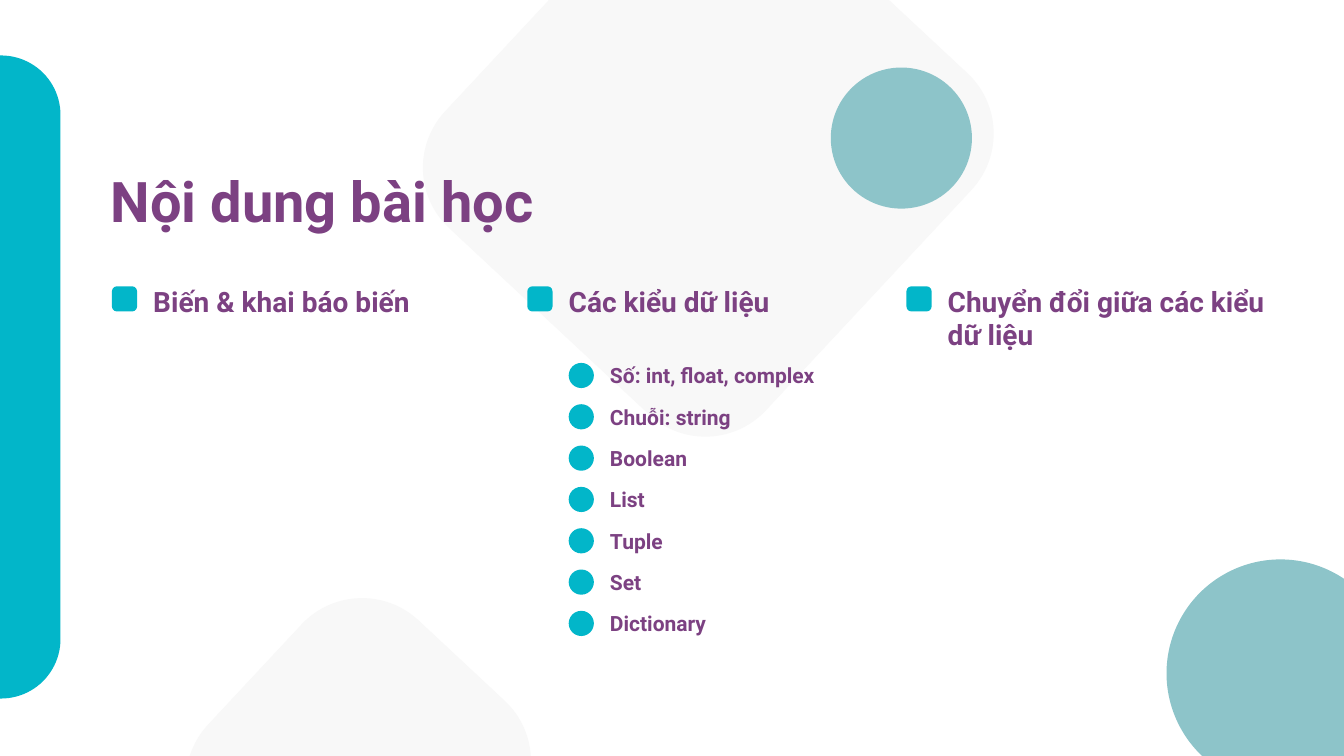
from pptx import Presentation
from pptx import util as u
from pptx.dml.color import RGBColor
from pptx.enum import shapes, text

TEAL = RGBColor(0x02, 0xB6, 0xC9)
PURPLE = RGBColor(0x7C, 0x41, 0x82)
PALE_GREY = RGBColor(0xF8, 0xF8, 0xF8)
SOFT_TEAL = RGBColor(0x8D, 0xC4, 0xC9)

MARKER = 0.25
INDENT = 0.41
HEADING_TOP = 2.82
TYPES_TOP = 3.6
TYPES_STEP = 0.41
TYPES_LEFT = 5.64

HEADINGS = [
    (1.11, 3.2, "Biến & khai báo biến"),
    (5.23, 2.95, "Các kiểu dữ liệu"),
    (8.99, 3.2, "Chuyển đổi giữa các kiểu dữ liệu"),
]
DATA_TYPES = [
    "Số: int, float, complex",
    "Chuỗi: string",
    "Boolean",
    "List",
    "Tuple",
    "Set",
    "Dictionary",
]


class LessonSlide:
    font = "Roboto"

    def __init__(self, deck):
        self.slide = deck.slides.add_slide(deck.slide_layouts[6])

    def shape(self, kind, left, top, width, height, color):
        item = self.slide.shapes.add_shape(
            kind, u.Inches(left), u.Inches(top), u.Inches(width), u.Inches(height))
        item.shadow.inherit = False
        item.fill.solid()
        item.fill.fore_color.rgb = color
        item.line.fill.background()
        return item

    def circle(self, left, top, size, color):
        return self.shape(shapes.MSO_SHAPE.OVAL, left, top, size, size, color)

    def rounded(self, left, top, width, height, radius, color, angle=0):
        item = self.shape(
            shapes.MSO_SHAPE.ROUNDED_RECTANGLE, left, top, width, height, color)
        item.adjustments[0] = radius / min(width, height)
        item.rotation = angle
        return item

    def label(self, words, left, top, width, height, size, inset=(0, 0)):
        frame = self.slide.shapes.add_textbox(
            u.Inches(left), u.Inches(top), u.Inches(width), u.Inches(height)).text_frame
        frame.word_wrap = True
        frame.vertical_anchor = text.MSO_ANCHOR.TOP
        frame.margin_left = frame.margin_right = u.Inches(inset[0])
        frame.margin_top = frame.margin_bottom = u.Inches(inset[1])
        run = frame.paragraphs[0].add_run()
        run.text = words
        run.font.name = self.font
        run.font.size = u.Pt(size)
        run.font.bold = True
        run.font.color.rgb = PURPLE


def main():
    deck = Presentation()
    deck.slide_width = u.Inches(13.33)
    deck.slide_height = u.Inches(7.5)
    lesson = LessonSlide(deck)

    lesson.rounded(-0.65, 0.55, 1.25, 6.38, 0.59, TEAL)
    lesson.rounded(4.85, -0.82, 4.35, 4.63, 0.82, PALE_GREY, 43)
    lesson.rounded(2.15, 6.15, 2.81, 3, 0.82, PALE_GREY, 43)
    lesson.circle(8.24, 0.67, 1.4, SOFT_TEAL)
    lesson.circle(11.57, 5.55, 2.26, SOFT_TEAL)

    lesson.label("Nội dung bài học", 1, 1.6, 5.77, 0.77, 40, (0.1, 0.05))

    for left, width, heading in HEADINGS:
        lesson.rounded(left, HEADING_TOP + 0.02, MARKER, MARKER, 0.05, TEAL)
        lesson.label(heading, left + INDENT, HEADING_TOP, width, MARKER, 20)

    for row, data_type in enumerate(DATA_TYPES):
        top = TYPES_TOP + row * TYPES_STEP
        lesson.circle(TYPES_LEFT, top, MARKER, TEAL)
        lesson.label(data_type, TYPES_LEFT + INDENT, top, 2.95, MARKER, 15)

    deck.save("out.pptx")


if __name__ == "__main__":
    main()
